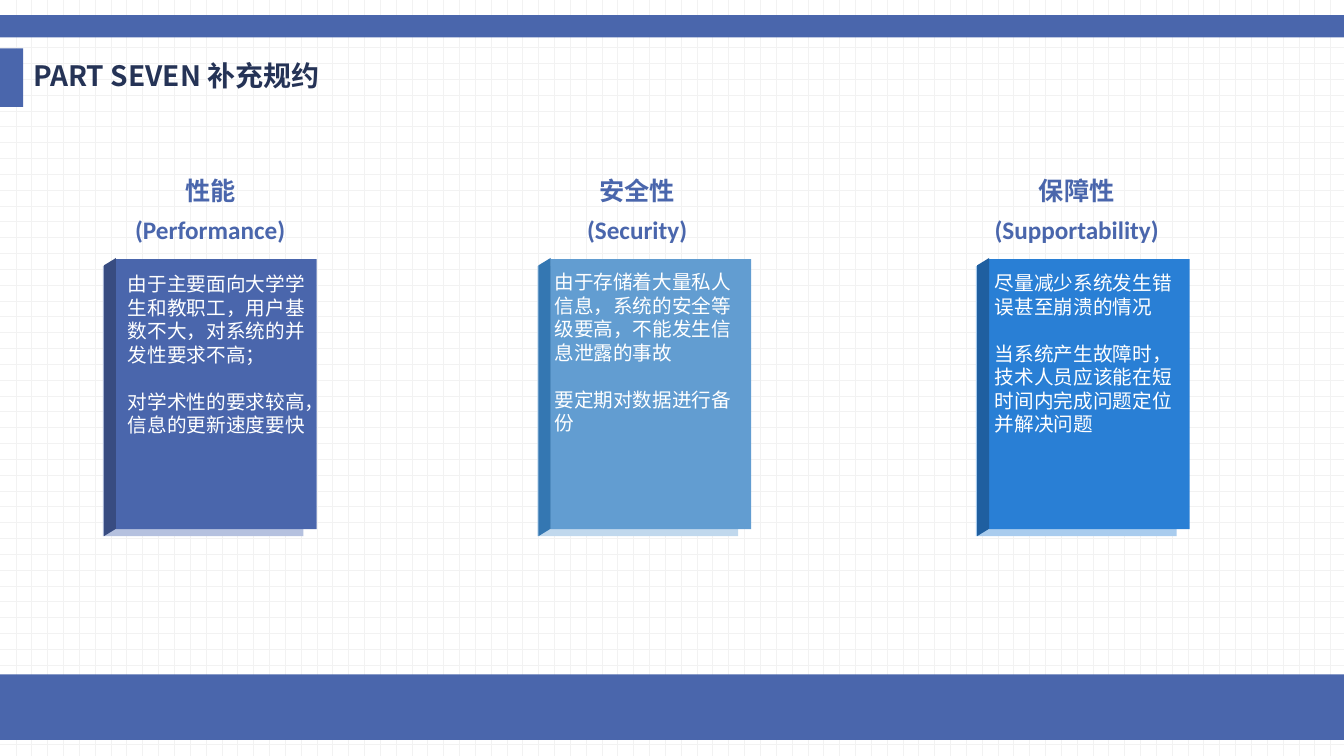
from dataclasses import dataclass

from pptx import Presentation
from pptx.dml.color import RGBColor
from pptx.enum.dml import MSO_PATTERN
from pptx.enum.shapes import MSO_SHAPE
from pptx.enum.text import MSO_ANCHOR, PP_ALIGN
from pptx.util import Inches, Pt

RECT, PARALLELOGRAM = MSO_SHAPE.RECTANGLE, MSO_SHAPE.PARALLELOGRAM
MIDDLE = MSO_ANCHOR.MIDDLE
LEFT, CENTER = PP_ALIGN.LEFT, PP_ALIGN.CENTER
DOT_GRID = MSO_PATTERN.DOTTED_GRID


@dataclass(frozen=True)
class Theme:
    blue: str = "4A66AC"
    navy: str = "253356"
    white: str = "FFFFFF"
    grid: str = "F2F2F2"
    title_font: str = "Noto Sans CJK SC"
    font: str = "Calibri"
    title_size: int = 20
    heading_size: int = 18
    body_size: int = 14


theme = Theme()


def add_block(shapes, kind, x, y, w, h, color):
    sp = shapes.add_shape(kind, Inches(x), Inches(y), Inches(w), Inches(h))
    sp.shadow.inherit = False
    sp.fill.solid()
    sp.fill.fore_color.rgb = RGBColor.from_string(color)
    sp.line.fill.background()
    return sp


def add_text(x, y, w, h, paragraphs, size, color, font=theme.font,
             bold=False, align=LEFT, spacing=1.0, wrap=True):
    """Add a text box whose later paragraphs stand one line apart."""
    box = s.shapes.add_textbox(Inches(x), Inches(y), Inches(w), Inches(h))
    tf = box.text_frame
    tf.word_wrap = wrap
    for i, text in enumerate(paragraphs):
        p = tf.add_paragraph() if i else tf.paragraphs[0]
        p.text = text
        p.alignment = align
        p.line_spacing = spacing
        if i:
            p.space_before = Pt(size * 1.2)
        p.font.name = font
        p.font.size = Pt(size)
        p.font.bold = bold
        p.font.color.rgb = RGBColor.from_string(color)
    return tf


prs = Presentation()
prs.slide_width, prs.slide_height = Inches(13.33), Inches(7.5)
s = prs.slides.add_slide(prs.slide_layouts[6])

bg = s.background.fill
bg.patterned()
bg.pattern = DOT_GRID
bg.fore_color.rgb = RGBColor.from_string(theme.grid)
bg.back_color.rgb = RGBColor.from_string(theme.white)

# Bands and title
for x, y, w, h in [(0, 6.69, 13.33, 0.65), (0, 0.15, 13.33, 0.22), (0, 0.48, 0.23, 0.58)]:
    add_block(s.shapes, RECT, x, y, w, h, theme.blue)
title = add_text(0.23, 0.48, 5.32, 0.58, ["PART SEVEN 补充规约"], theme.title_size,
                 theme.navy, font=theme.title_font, bold=True, spacing=0.9)
title.vertical_anchor = MIDDLE

# Cards: left edge, (shade, front, side) colours, heading (left, width, text),
# body (left, top, paragraphs)
cards = [
    (1.02, ("B5C1DF", theme.blue, "384C81"),
     (0.98, 2.21, "性能\v(Performance)"),
     (1.17, 2.65, ["由于主要面向大学学生和教职工，用户基数不大，对系统的并发性要求不高；",
                   "对学术性的要求较高，信息的更新速度要快"])),
    (5.33, ("C0D8ED", "629DD1", "3477B2"),
     (5.34, 1.96, "安全性\v(Security)"),
     (5.4, 2.63, ["由于存储着大量私人信息，系统的安全等级要高，不能发生信息泄露的事故",
                  "要定期对数据进行备份"])),
    (9.68, ("A9CCEE", "297FD5", "1F5FA0"),
     (9.38, 2.6, "保障性\v(Supportability)"),
     (9.77, 2.64, ["尽量减少系统发生错误甚至崩溃的情况",
                   "当系统产生故障时，技术人员应该能在短时间内完成问题定位并解决问题"])),
]
CARD_W, CARD_H = 1.99, 2.68
SIDE_LENGTH, SIDE_DEPTH = 2.76, 0.12

for x, (shade, front, side), heading, body in cards:
    group = s.shapes.add_group_shape().shapes
    add_block(group, RECT, x, 2.64, CARD_W, CARD_H, shade)
    add_block(group, RECT, x + 0.13, 2.57, CARD_W, CARD_H, front)
    edge = add_block(group, PARALLELOGRAM, x - 1.31, 3.88, SIDE_LENGTH, SIDE_DEPTH, side)
    edge.adjustments[0] = 0.61
    edge.rotation = 270
    edge._element.spPr.xfrm.set("flipH", "1")

    heading_x, heading_w, heading_text = heading
    add_text(heading_x, 1.6, heading_w, 0.46, [heading_text], theme.heading_size,
             theme.blue, bold=True, align=CENTER, spacing=1.3, wrap=False)
    body_x, body_y, paragraphs = body
    add_text(body_x, body_y, CARD_W, 1.75, paragraphs, theme.body_size, theme.white)

prs.save("out.pptx")
